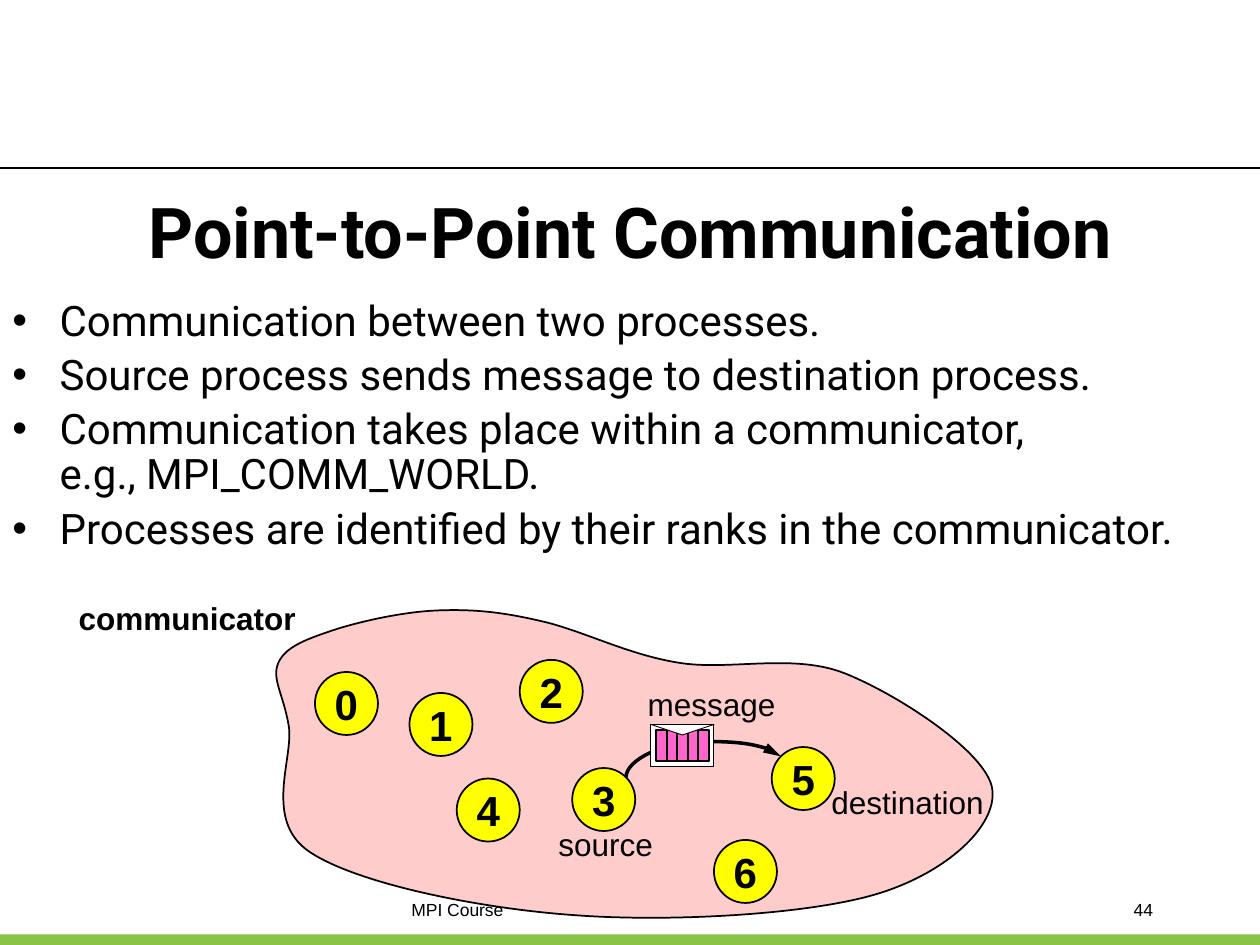
from lxml.etree import SubElement
from pptx import Presentation
from pptx.dml.color import RGBColor
from pptx.enum.shapes import MSO_CONNECTOR, MSO_SHAPE
from pptx.enum.text import MSO_ANCHOR, MSO_AUTO_SIZE, PP_ALIGN
from pptx.oxml.ns import qn
from pptx.util import Inches, Pt

BLACK = RGBColor(0x00, 0x00, 0x00)
WHITE = RGBColor(0xFF, 0xFF, 0xFF)
GREEN = RGBColor(0x89, 0xC4, 0x48)
PINK = RGBColor(0xFF, 0xCC, 0xCC)
YELLOW = RGBColor(0xFF, 0xFF, 0x00)
MAGENTA = RGBColor(0xFF, 0x66, 0xCC)

# The page is a grid of 240 columns by 180 rows
COLUMNS, ROWS = 240, 180
CELL = Inches(10) / COLUMNS

deck = Presentation()
deck.slide_width, deck.slide_height = int(COLUMNS * CELL), int(ROWS * CELL)
page = deck.slides.add_slide(deck.slide_layouts[6])


def paint(shape, fill, line_width=None):
    shape.shadow.inherit = False
    shape.fill.solid()
    shape.fill.fore_color.rgb = fill
    if line_width is None:
        shape.line.fill.background()
    else:
        shape.line.color.rgb = BLACK
        shape.line.width = Pt(line_width)


def write(para, text, size, font="Arial", bold=False, align=PP_ALIGN.LEFT):
    para.alignment = align
    for number, line in enumerate(text.split("\n")):
        if number:
            para.add_line_break()
        span = para.add_run()
        span.text = line
        span.font.name, span.font.size = font, Pt(size)
        span.font.bold = bold
        span.font.color.rgb = BLACK


# Green foot band and header rule
band = page.shapes.add_shape(
    MSO_SHAPE.RECTANGLE, 0, int(178 * CELL), deck.slide_width, int(2 * CELL))
paint(band, GREEN)
rule = page.shapes.add_connector(
    MSO_CONNECTOR.STRAIGHT, 0, int(32 * CELL), deck.slide_width, int(32 * CELL))
rule.line.color.rgb = BLACK
rule.line.width = Pt(0.75)
SubElement(rule._element.spPr, qn("a:effectLst"))

# Footer, page number and title: column, row, width, height
for place, text, size, font, bold, align in [
    ((76, 170, 88, 6), "MPI Course", 10, "Arial", False, PP_ALIGN.LEFT),
    ((172, 170, 50, 6), "44", 10, "Arial", False, PP_ALIGN.RIGHT),
    ((4, 36, 232, 16), "Point-to-Point Communication", 40, "Roboto", True, PP_ALIGN.CENTER),
]:
    box = page.shapes.add_textbox(*[int(n * CELL) for n in place])
    box.text_frame.word_wrap = True
    if bold:
        box.text_frame.vertical_anchor = MSO_ANCHOR.MIDDLE
    write(box.text_frame.paragraphs[0], text, size, font, bold, align)

# Bullet list
body = page.shapes.add_textbox(0, int(56 * CELL), deck.slide_width, int(58 * CELL))
body.text_frame.word_wrap = True
for number, text in enumerate([
    "Communication between two processes.",
    "Source process sends message to destination process.",
    "Communication takes place within a communicator, \ne.g., MPI_COMM_WORLD.",
    "Processes are identified by their ranks in the communicator.",
]):
    para = body.text_frame.add_paragraph() if number else body.text_frame.paragraphs[0]
    properties = para._p.get_or_add_pPr()
    properties.set("marL", str(int(9 * CELL)))
    properties.set("indent", str(int(-9 * CELL)))
    SubElement(properties, qn("a:buFont"), typeface="Arial")
    SubElement(properties, qn("a:buChar"), char="•")
    para.line_spacing = 0.9
    para.space_before = Pt(5 if number else 0)
    write(para, text, 24, "Roboto")

# Communicator outline: each row is two control points and an end point
start = (63, 120.2)
curves = [
    ((68, 118.5), (76.4, 116.6), (83, 116.3)),
    ((89.8, 116), (95.3, 116.5), (103, 118.3)),
    ((110.7, 120), (119.3, 124.6), (129, 126.2)),
    ((138.7, 127.9), (151, 124.3), (161, 128.3)),
    ((171, 132.3), (188, 143.3), (189, 150.3)),
    ((190, 157.3), (180.3, 166.3), (167, 170.3)),
    ((153.7, 174.3), (127, 175.7), (109, 174.3)),
    ((91, 173), (68, 168.3), (59, 162.3)),
    ((50, 156.3), (56, 144.3), (55, 138.3)),
    ((54, 132.3), (51.7, 129.3), (53, 126.3)),
    ((54.3, 123.3), (58, 121.9), start),
]
builder = page.shapes.build_freeform(*[int(n * CELL) for n in start])
builder.add_line_segments(
    [[int(n * CELL) for n in point] for curve in curves for point in curve], close=True)
communicator = builder.convert_to_shape()
paint(communicator, PINK, 1)

# Join every three line steps into one cubic curve
steps = list(communicator._element.iter(qn("a:lnTo")))
for first in range(0, len(steps), 3):
    curve = steps[first]
    cubic = curve.getparent().makeelement(qn("a:cubicBezTo"))
    curve.addprevious(cubic)
    for step in steps[first:first + 3]:
        cubic.append(step[0])
        step.getparent().remove(step)

# Processes, by rank
for rank, column, row in [
    (0, 60, 128), (1, 78, 132), (5, 147, 142.3), (2, 99, 125.7),
    (4, 87, 148.3), (3, 109, 146.3), (6, 136, 160),
]:
    process = page.shapes.add_shape(
        MSO_SHAPE.OVAL, *[int(n * CELL) for n in (column, row, 12, 12)])
    paint(process, YELLOW, 1)
    process.text_frame.word_wrap = False
    process.text_frame.vertical_anchor = MSO_ANCHOR.MIDDLE
    write(process.text_frame.paragraphs[0], str(rank), 24, bold=True, align=PP_ALIGN.CENTER)

# Curved arrow from source to destination, a quarter turn to the left
arrow = page.shapes.add_connector(
    MSO_CONNECTOR.CURVE, *[int(n * CELL) for n in (132, 131.3, 136, 160.8)])
arrow.line.color.rgb = BLACK
arrow.line.width = Pt(2)
geometry = arrow._element.spPr
geometry.xfrm.set("rot", str(270 * 60000))
SubElement(geometry.find(qn("a:prstGeom")).find(qn("a:avLst")), qn("a:gd"),
           name="adj1", fmla="val 170800")
SubElement(arrow.line._get_or_add_ln(), qn("a:tailEnd"), type="triangle", w="med", len="lg")
SubElement(geometry, qn("a:effectLst"))

# Labels
for place, text in [
    ((14, 114.1, 43.6, 7.2), "communicator"),
    ((104, 156, 22.8, 9.6), "source"),
    ((156, 148, 33.8, 9.6), "destination"),
    ((121, 129.3, 29.4, 9.6), "message"),
]:
    label = page.shapes.add_textbox(*[int(n * CELL) for n in place])
    frame = label.text_frame
    frame.word_wrap = False
    frame.auto_size = MSO_AUTO_SIZE.SHAPE_TO_FIT_TEXT
    heading = text == "communicator"
    if heading:
        paint(label, WHITE)
        frame.margin_left = frame.margin_right = int(CELL)
        frame.margin_top = frame.margin_bottom = 0
    write(frame.paragraphs[0], text, 18, bold=heading)

# Message envelope: back, five stripes, flap
envelope = page.shapes.add_group_shape()
stripes = [((125 + 2 * n, 139, 2, 6), MAGENTA, 1) for n in range(5)]
for place, fill, width in [((124, 138, 12, 8), WHITE, 0.5)] + stripes:
    part = envelope.shapes.add_shape(MSO_SHAPE.RECTANGLE, *[int(n * CELL) for n in place])
    paint(part, fill, width)
flap = envelope.shapes.build_freeform(124, 138, scale=CELL)
flap.add_line_segments([(130, 140), (136, 138)], close=True)
paint(flap.convert_to_shape(), WHITE, 0.5)

deck.save("out.pptx")
